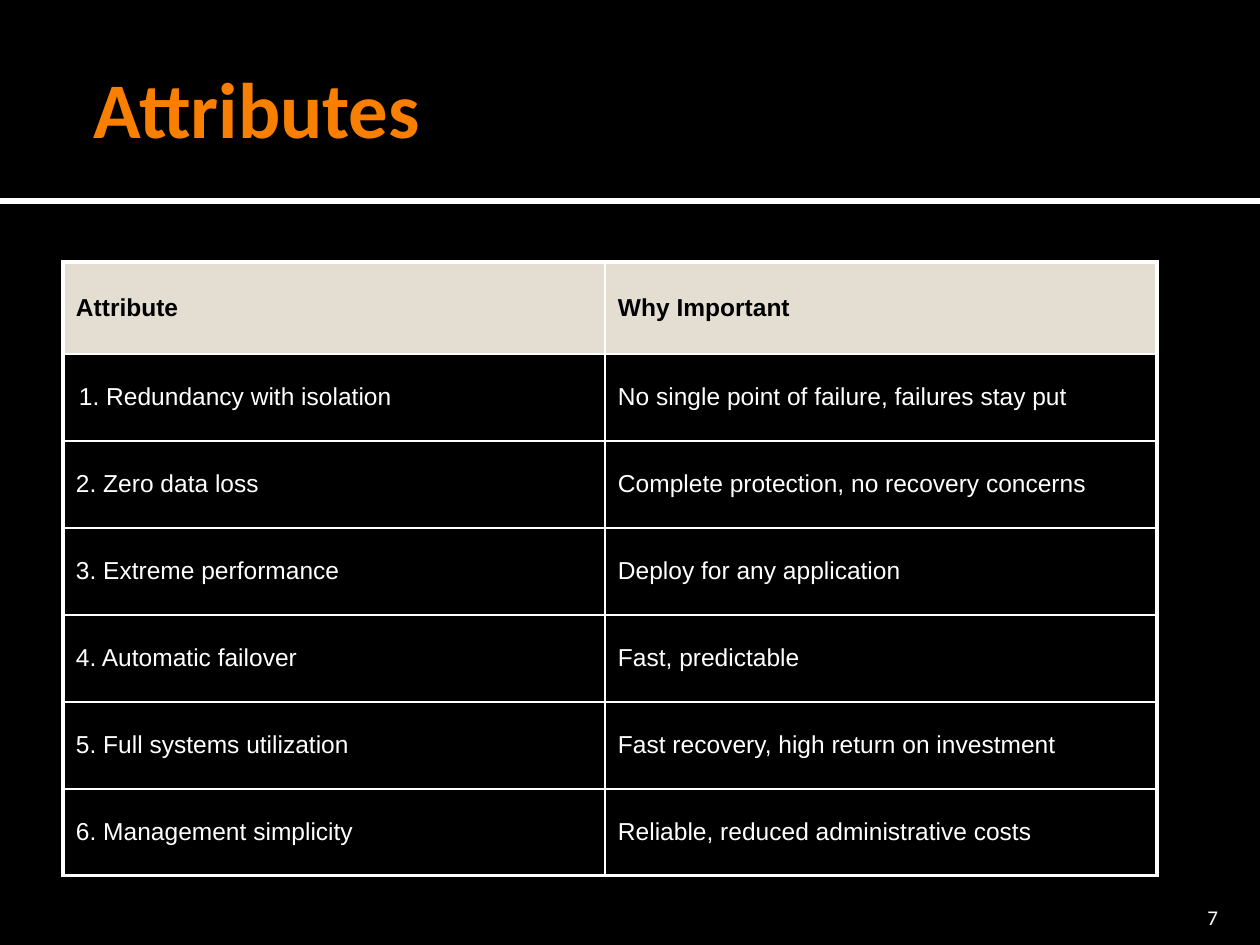
from dataclasses import dataclass

from lxml import etree
from pptx import Presentation
from pptx.dml.color import RGBColor
from pptx.enum.shapes import MSO_SHAPE
from pptx.enum.text import MSO_ANCHOR, PP_ALIGN
from pptx.oxml.ns import qn
from pptx.util import Emu, Pt

RECTANGLE = MSO_SHAPE.RECTANGLE
MIDDLE, BOTTOM = MSO_ANCHOR.MIDDLE, MSO_ANCHOR.BOTTOM
LEFT, RIGHT = PP_ALIGN.LEFT, PP_ALIGN.RIGHT


@dataclass(frozen=True)
class Theme:
    """Colours, fonts, type sizes and border widths."""

    background: str = "000000"
    text: str = "FFFFFF"
    accent: str = "F97F00"
    header_fill: str = "E3DED1"
    header_text: str = "000000"
    heading_font: str = "Calibri"
    body_font: str = "Arial"
    title_size: int = 45
    body_size: int = 14
    number_size: int = 12
    outer_border: float = 2.25
    inner_border: float = 1


THEME = Theme()
ROWS = [
    ("Attribute", "Why Important"),
    ("1. Redundancy with isolation", "No single point of failure, failures stay put"),
    ("2. Zero data loss", "Complete protection, no recovery concerns"),
    ("3. Extreme performance", "Deploy for any application"),
    ("4. Automatic failover", "Fast, predictable"),
    ("5. Full systems utilization", "Fast recovery, high return on investment"),
    ("6. Management simplicity", "Reliable, reduced administrative costs"),
]


def px(length):
    """Turn pixels into EMU."""
    return Emu(round(length * 914400 / 126))


def add_run(paragraph, text, font, size, color, bold=False):
    """Add one styled run to a paragraph."""
    run = paragraph.add_run()
    run.text = text
    run.font.name = font
    run.font.size = Pt(size)
    run.font.bold = bold
    run.font.color.rgb = RGBColor.from_string(color)


def set_insets(target, left, top, right, bottom):
    """Set the inner margins of a text frame or cell."""
    target.margin_left, target.margin_top = px(left), px(top)
    target.margin_right, target.margin_bottom = px(right), px(bottom)


def add_band(slide, left, top, width, height, color):
    """Add a plain filled rectangle."""
    band = slide.shapes.add_shape(RECTANGLE, px(left), px(top), px(width), px(height))
    band.shadow.inherit = False
    band.fill.solid()
    band.fill.fore_color.rgb = RGBColor.from_string(color)
    band.line.fill.background()


def add_text(slide, box, insets, anchor, alignment, text, **style):
    """Add a one-line text box."""
    frame = slide.shapes.add_textbox(*map(px, box)).text_frame
    frame.word_wrap = True
    frame.vertical_anchor = anchor
    set_insets(frame, *insets)
    paragraph = frame.paragraphs[0]
    paragraph.alignment = alignment
    add_run(paragraph, text, **style)


def add_header(slide, left, top, width, height):
    """Place the title on its band with the rule below."""
    rule_height = 6
    add_band(slide, left, top + height, width, rule_height, THEME.text)
    add_band(slide, left, top, width, height, THEME.background)
    add_text(slide, (left + 63, top + 21, width - 126, height - 25), (13, 6, 6, 6),
             MIDDLE, LEFT, " Attributes", font=THEME.heading_font,
             size=THEME.title_size, color=THEME.accent, bold=True)


def set_borders(cell, outer_sides):
    """Draw the four cell borders, heavier on the outer sides."""
    properties = cell._tc.get_or_add_tcPr()
    for index, side in enumerate("LRTB"):
        width = THEME.outer_border if side in outer_sides else THEME.inner_border
        line = etree.Element(qn(f"a:ln{side}"), w=str(Pt(width)))
        fill = etree.SubElement(line, qn("a:solidFill"))
        etree.SubElement(fill, qn("a:srgbClr"), val=THEME.text)
        properties.insert(index, line)


def fill_cell(cell, text, is_header, indent, outer_sides):
    """Style one table cell and write its text."""
    cell.vertical_anchor = MIDDLE
    padding = 0 if is_header else 6
    set_insets(cell, 13, padding, 13, padding)
    if is_header:
        cell.fill.solid()
        cell.fill.fore_color.rgb = RGBColor.from_string(THEME.header_fill)
    else:
        cell.fill.background()
    set_borders(cell, outer_sides)
    paragraph = cell.text_frame.paragraphs[0]
    paragraph.space_before = Pt(THEME.body_size * 0.2)
    paragraph._p.get_or_add_pPr().set("marL", str(px(indent)))
    add_run(paragraph, text, THEME.body_font, THEME.body_size,
            THEME.header_text if is_header else THEME.text, is_header)


def add_attribute_table(slide, left, top, width, height):
    """Place the table of attributes and reasons."""
    first_column, header_height = 542, 92
    last = len(ROWS) - 1
    table = slide.shapes.add_table(len(ROWS), 2, px(left), px(top),
                                   px(width), px(height)).table
    table.horz_banding = False
    table.columns[0].width = px(first_column)
    table.columns[1].width = px(width - first_column)
    for row_index, texts in enumerate(ROWS):
        is_header = row_index == 0
        table.rows[row_index].height = px(
            header_height if is_header else (height - header_height) // last)
        for column_index, text in enumerate(texts):
            outer_sides = "LR"[column_index] + {0: "T", last: "B"}.get(row_index, "")
            indent = 3 if (row_index, column_index) == (1, 0) else 0
            fill_cell(table.cell(row_index, column_index), text, is_header,
                      indent, outer_sides)


def add_slide_number(slide, left, top, width, height):
    """Place the slide number at the lower right."""
    add_text(slide, (left, top, width, height), (13, 6, 13, 0), BOTTOM, RIGHT, "7",
             font=THEME.heading_font, size=THEME.number_size, color=THEME.text)


def main():
    """Build and save the presentation."""
    presentation = Presentation()
    presentation.slide_width, presentation.slide_height = px(1260), px(945)
    slide = presentation.slides.add_slide(presentation.slide_layouts[6])
    slide.background.fill.solid()
    slide.background.fill.fore_color.rgb = RGBColor.from_string(THEME.background)
    add_header(slide, 0, 0, 1260, 198)
    add_attribute_table(slide, 63, 262, 1094, 614)
    add_slide_number(slide, 1130, 892, 101, 38)
    presentation.save("out.pptx")


if __name__ == "__main__":
    main()
